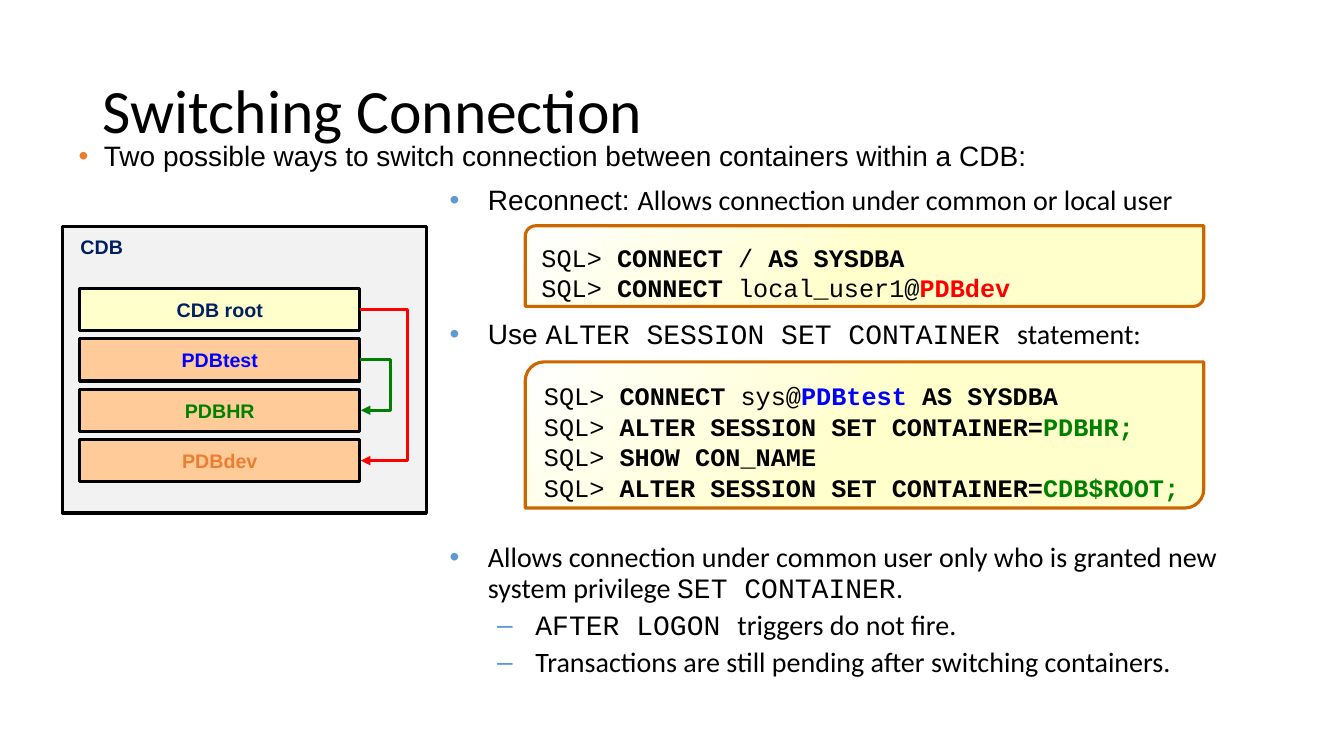
from copy import deepcopy

from lxml import etree
from pptx import Presentation
from pptx import util as u
from pptx.dml.color import RGBColor
from pptx.enum import shapes, text
from pptx.oxml.ns import qn


class Theme:
    black, white, navy = "000000", "FFFFFF", "002060"
    blue, green, red = "0000FF", "008000", "FF0000"
    orange, sky = "ED7D31", "5B9BD5"
    panel, cream, peach, rust = "F2F2F2", "FFFFCC", "FFCC99", "CC6600"
    sans, body, mono = "Arial", "Calibri", "Courier New"
    title_size, body_size, code_size, label_size = 44, 20, 18, 14
    line_width = 2.25


def add_run(paragraph, words, font, size, color=Theme.black, bold=False):
    run = paragraph.add_run()
    run.text = words
    run.font.name = font
    run.font.size = u.Pt(size)
    run.font.bold = bold
    run.font.color.rgb = RGBColor.from_string(color)


def add_box(preset, left, top, width, height, fill, line):
    shape = slide.shapes.add_shape(
        preset, u.Inches(left), u.Inches(top), u.Inches(width), u.Inches(height))
    shape.shadow.inherit = False
    shape.fill.solid()
    shape.fill.fore_color.rgb = RGBColor.from_string(fill)
    shape.line.color.rgb = RGBColor.from_string(line)
    shape.line.width = u.Pt(Theme.line_width)
    return shape


presentation = Presentation()
presentation.slide_width = u.Inches(13.33)
presentation.slide_height = u.Inches(7.5)
slide = presentation.slides.add_slide(presentation.slide_layouts[1])

title = slide.shapes.title
title.left, title.top = u.Inches(0.92), u.Inches(0.4)
title.width, title.height = u.Inches(11.5), u.Inches(1.45)
title.text_frame.auto_size = text.MSO_AUTO_SIZE.NONE
title.text_frame.vertical_anchor = text.MSO_ANCHOR.MIDDLE
paragraph = title.text_frame.paragraphs[0]
paragraph.alignment = text.PP_ALIGN.LEFT
paragraph.line_spacing = 0.9
add_run(paragraph, "Switching Connection", Theme.body, Theme.title_size)

body = slide.placeholders[1]
body.left, body.top = u.Inches(0.68), u.Inches(1.36)
body.width, body.height = u.Inches(11.97), u.Inches(5.51)
body.text_frame.auto_size = text.MSO_AUTO_SIZE.NONE
bullets = [
    (0, 0.25, -0.25, 0, "•", Theme.orange,
     [("Two possible ways to switch connection between containers within a CDB:", Theme.sans)]),
    (0, 4.06, -0.38, 10, "•", Theme.sky,
     [("Reconnect: ", Theme.sans),
      ("Allows connection under common or local user", Theme.body)]),
    (0, 4.06, -0.38, 74, "•", Theme.sky,
     [("Use ", Theme.sans), ("ALTER SESSION SET CONTAINER ", Theme.mono),
      ("statement:", Theme.body)]),
    (0, 4.06, -0.38, 138, "•", Theme.sky,
     [("Allows connection under common user only who is granted new system privilege ",
       Theme.body), ("SET CONTAINER", Theme.mono), (".", Theme.body)]),
    (1, 4.53, -0.38, 5, "‒", Theme.sky,
     [("AFTER LOGON ", Theme.mono), ("triggers do not fire.", Theme.body)]),
    (1, 4.53, -0.38, 5, "‒", Theme.sky,
     [("Transactions are still pending after switching containers.", Theme.body)]),
]
for index, (level, margin, indent, before, mark, color, runs) in enumerate(bullets):
    frame = body.text_frame
    paragraph = frame.add_paragraph() if index else frame.paragraphs[0]
    paragraph.level = level
    paragraph.line_spacing = 0.9
    paragraph.space_before = u.Pt(before)
    properties = paragraph._p.get_or_add_pPr()
    properties.set("marL", str(u.Inches(margin)))
    properties.set("indent", str(u.Inches(indent)))
    bullet_color = etree.SubElement(properties, qn("a:buClr"))
    etree.SubElement(bullet_color, qn("a:srgbClr"), val=color)
    etree.SubElement(properties, qn("a:buFont"), typeface=Theme.sans)
    etree.SubElement(properties, qn("a:buChar"), char=mark)
    for words, font in runs:
        add_run(paragraph, words, font, Theme.body_size)

add_box(shapes.MSO_SHAPE.RECTANGLE, 0.62, 2.25, 3.61, 2.84, Theme.panel, Theme.black)
label = slide.shapes.add_textbox(
    u.Inches(0.7), u.Inches(2.33), u.Inches(0.77), u.Inches(0.29))
label.text_frame.word_wrap = True
paragraph = label.text_frame.paragraphs[0]
paragraph.line_spacing = 0.8
add_run(paragraph, "CDB", Theme.sans, Theme.label_size, Theme.navy, True)

containers = [
    ("CDB root", Theme.cream, Theme.navy),
    ("PDBtest", Theme.peach, Theme.blue),
    ("PDBHR", Theme.peach, Theme.green),
    ("PDBdev", Theme.peach, Theme.orange),
]
for index, (name, fill, color) in enumerate(containers):
    shape = add_box(shapes.MSO_SHAPE.RECTANGLE, 0.79, 2.86 + 0.5 * index, 2.78, 0.42,
                    fill, Theme.black)
    shape.text_frame.word_wrap = False
    shape.text_frame.vertical_anchor = text.MSO_ANCHOR.MIDDLE
    paragraph = shape.text_frame.paragraphs[0]
    paragraph.alignment = text.PP_ALIGN.CENTER
    add_run(paragraph, name, Theme.sans, Theme.label_size, color, True)

prompt = ("SQL> ", Theme.black, False)
alter = ("ALTER SESSION SET CONTAINER=", Theme.black, True)
connect = ("CONNECT", Theme.black, True)
as_sysdba = ("AS SYSDBA", Theme.black, True)
code_boxes = [
    (2.24, 0.8, [
        [connect, (" / ", Theme.black, False), as_sysdba],
        [connect, (" local_user1@", Theme.black, False), ("PDBdev", Theme.red, True)],
    ]),
    (3.59, 1.45, [
        [connect, (" sys@", Theme.black, False), ("PDBtest ", Theme.blue, True), as_sysdba],
        [alter, ("PDBHR;", Theme.green, True)],
        [("SHOW CON_NAME", Theme.black, True)],
        [alter, ("CDB$ROOT;", Theme.green, True)],
    ]),
]
for top, height, lines in code_boxes:
    shape = add_box(shapes.MSO_SHAPE.ROUND_2_DIAG_RECTANGLE, 5.21, top, 6.73, height,
                    Theme.cream, Theme.rust)
    shape.adjustments[0], shape.adjustments[1] = 0.13, 0
    shape.fill.gradient()
    shape.fill.gradient_angle = 135
    first, last = shape.fill.gradient_stops
    first.color.rgb = RGBColor.from_string(Theme.cream)
    last.color.rgb = RGBColor.from_string(Theme.white)
    stops = shape._element.spPr.find(qn("a:gradFill")).find(qn("a:gsLst"))
    middle = deepcopy(stops[0])
    middle.set("pos", "50000")
    stops.insert(1, middle)
    frame = shape.text_frame
    frame.word_wrap = True
    frame.vertical_anchor = text.MSO_ANCHOR.TOP
    frame.margin_left = frame.margin_top = u.Inches(0.13)
    frame.margin_right, frame.margin_bottom = u.Inches(0.02), 0
    for index, runs in enumerate(lines):
        paragraph = frame.add_paragraph() if index else frame.paragraphs[0]
        paragraph.alignment = text.PP_ALIGN.LEFT
        paragraph.line_spacing = u.Pt(21.7)
        for words, color, bold in [prompt] + runs:
            add_run(paragraph, words, Theme.mono, Theme.code_size, color, bold)

for start, end, reach, color in [(3.57, 4.07, 31, Theme.green), (3.07, 4.57, 48, Theme.red)]:
    arrow = slide.shapes.add_connector(
        shapes.MSO_CONNECTOR.ELBOW, u.Inches(3.57), u.Inches(start),
        u.Inches(3.58), u.Inches(end))
    arrow.line.color.rgb = RGBColor.from_string(color)
    arrow.line.width = u.Pt(Theme.line_width)
    properties = arrow._element.spPr
    etree.SubElement(properties.find(qn("a:ln")), qn("a:tailEnd"), type="triangle")
    etree.SubElement(properties, qn("a:effectLst"))
    guides = properties.find(qn("a:prstGeom")).find(qn("a:avLst"))
    etree.SubElement(guides, qn("a:gd"), name="adj1", fmla=f"val {reach * 100000}")

presentation.save("out.pptx")
